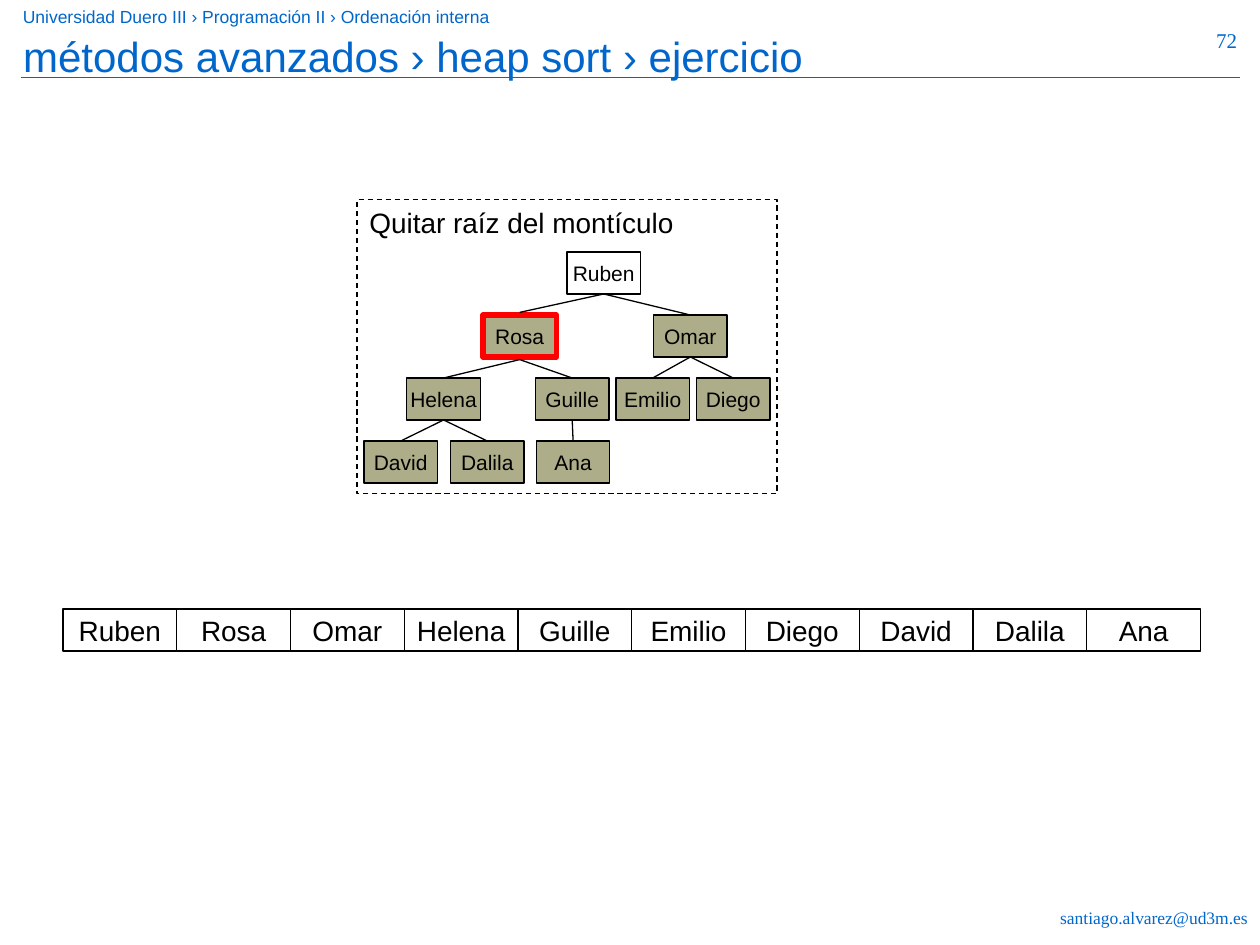
from dataclasses import dataclass

from lxml import etree
from pptx import Presentation
from pptx.dml.color import RGBColor
from pptx.enum.dml import MSO_LINE
from pptx.enum.shapes import MSO_CONNECTOR, MSO_SHAPE
from pptx.enum.text import MSO_ANCHOR, MSO_AUTO_SIZE, PP_ALIGN
from pptx.oxml.ns import qn
from pptx.util import Pt

RECTANGLE = MSO_SHAPE.RECTANGLE
STRAIGHT = MSO_CONNECTOR.STRAIGHT
DASH = MSO_LINE.DASH
TOP, MIDDLE = MSO_ANCHOR.TOP, MSO_ANCHOR.MIDDLE
LEFT, CENTER, RIGHT = PP_ALIGN.LEFT, PP_ALIGN.CENTER, PP_ALIGN.RIGHT
NO_AUTOFIT = MSO_AUTO_SIZE.NONE

COLORS = {"header": "0066CC", "ink": "000000", "node": "AEAD89", "current": "FF0000"}
SANS, SERIF = "Arial", "Times New Roman"
TITLE_ONLY = 5

NODE_WIDTH, NODE_HEIGHT = 42, 24
TREE_TOP, LEVEL_STEP = 144, 36
ARRAY_LEFT, ARRAY_TOP = 36, 348
CELL_WIDTH, CELL_HEIGHT = 65, 24
THIN, THICK = 0.75, 3


@dataclass
class Node:
    name: str
    left: float
    fill: str | None = "node"
    outline: str = "ink"
    weight: float = THIN


# Heap in array order: the parent of node i is node (i - 1) // 2
HEAP = [
    Node("Ruben", 324, fill=None),
    Node("Rosa", 276, outline="current", weight=THICK),
    Node("Omar", 373.5),
    Node("Helena", 232.5),
    Node("Guille", 306),
    Node("Emilio", 352),
    Node("Diego", 398),
    Node("David", 208),
    Node("Dalila", 257.5),
    Node("Ana", 306.5),
]


def rgb(color: str) -> RGBColor:
    return RGBColor.from_string(COLORS[color])


def write(shape, text: str, size: float, color: str, font: str = SANS,
          align=LEFT, anchor=TOP, wrap: bool = True) -> None:
    frame = shape.text_frame
    frame.text = text
    frame.auto_size = NO_AUTOFIT
    frame.word_wrap = wrap
    frame.vertical_anchor = anchor
    paragraph = frame.paragraphs[0]
    paragraph.alignment = align
    paragraph.font.name = font
    paragraph.font.size = Pt(size)
    paragraph.font.color.rgb = rgb(color)


def add_label(slide, box: tuple, text: str, size: float, font: str, align) -> None:
    label = slide.shapes.add_textbox(*map(Pt, box))
    write(label, text, size, "header", font, align)


def add_box(slide, box: tuple, text: str, size: float, fill: str | None = None,
            outline: str = "ink", weight: float = THIN, align=CENTER, anchor=MIDDLE):
    rectangle = slide.shapes.add_shape(RECTANGLE, *map(Pt, box))
    rectangle.shadow.inherit = False
    if fill:
        rectangle.fill.solid()
        rectangle.fill.fore_color.rgb = rgb(fill)
    else:
        rectangle.fill.background()
    rectangle.line.color.rgb = rgb(outline)
    rectangle.line.width = Pt(weight)
    write(rectangle, text, size, "ink", align=align, anchor=anchor, wrap=False)
    return rectangle


def add_line(slide, start: tuple, end: tuple, color: str = "ink") -> None:
    line = slide.shapes.add_connector(STRAIGHT, *map(Pt, start + end))
    line.line.color.rgb = rgb(color)
    line.line.width = Pt(THIN)
    etree.SubElement(line._element.spPr, qn("a:effectLst"))


def node_top(index: int) -> float:
    level = (index + 1).bit_length() - 1
    return TREE_TOP + level * LEVEL_STEP


def add_branch(slide, index: int) -> None:
    """Join a node to its parent, clear of any thick outline."""
    parent_index = (index - 1) // 2
    parent, child = HEAP[parent_index], HEAP[index]
    parent_gap, child_gap = (
        THICK / 2 if node.weight == THICK else 0 for node in (parent, child))
    add_line(
        slide,
        (parent.left + NODE_WIDTH / 2, node_top(parent_index) + NODE_HEIGHT + parent_gap),
        (child.left + NODE_WIDTH / 2, node_top(index) - child_gap))


def main() -> None:
    presentation = Presentation()
    presentation.slide_width, presentation.slide_height = Pt(720), Pt(540)
    slide = presentation.slides.add_slide(presentation.slide_layouts[TITLE_ONLY])

    # Header
    add_line(slide, (12, 44.5), (708.5, 44.5), "header")
    add_label(slide, (6, 0, 420, 19.5),
              "Universidad Duero III › Programación II › Ordenación interna", 10, SANS, LEFT)
    title = slide.shapes.title
    title.left, title.top, title.width, title.height = map(Pt, (6, 12, 624, 45))
    write(title, "métodos avanzados › heap sort › ejercicio", 24, "header")
    title.text_frame.margin_top = Pt(5.5)

    # Heap tree
    for index, node in enumerate(HEAP):
        add_box(slide, (node.left, node_top(index), NODE_WIDTH, NODE_HEIGHT),
                node.name, 12, node.fill, node.outline, node.weight)
    for index in range(1, len(HEAP)):
        add_branch(slide, index)
    step = add_box(slide, (204, 114, 240, 168), "Quitar raíz del montículo", 16,
                   align=LEFT, anchor=TOP)
    step.line.dash_style = DASH

    # Heap as an array
    for index, node in enumerate(HEAP):
        cell_left = ARRAY_LEFT + index * CELL_WIDTH
        add_box(slide, (cell_left, ARRAY_TOP, CELL_WIDTH, CELL_HEIGHT), node.name, 16)

    # Contact and page number
    add_label(slide, (492, 515, 228, 19.5), "santiago.alvarez@ud3m.es", 10, SERIF, RIGHT)
    add_label(slide, (666, 12, 48, 37.5), "72", 12, SERIF, RIGHT)

    presentation.save("out.pptx")


if __name__ == "__main__":
    main()
